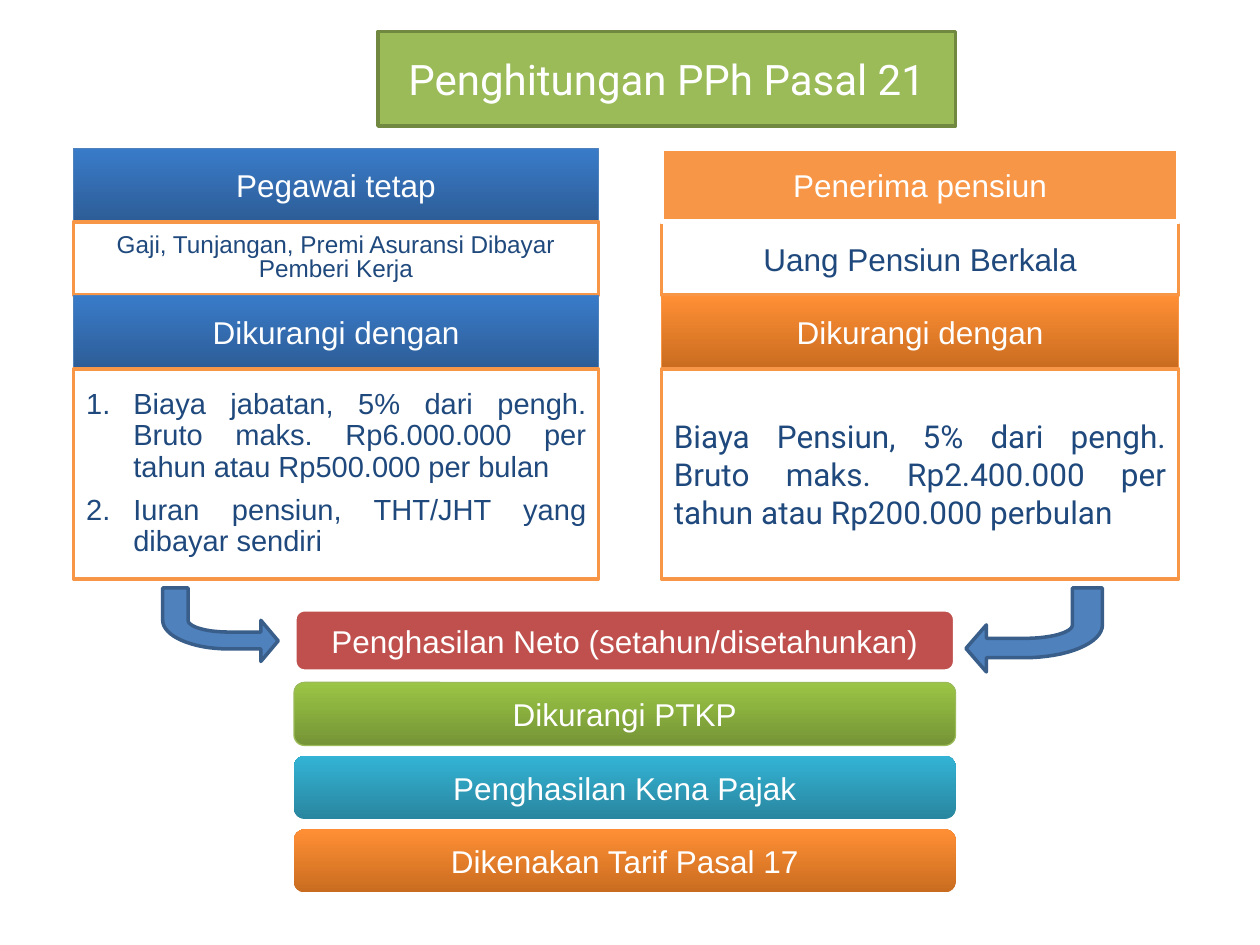
import math

import pptx
import pptx.dml.color
import pptx.enum.shapes
import pptx.enum.text
import pptx.oxml
import pptx.oxml.ns
import pptx.util

EMU_PER_PX = 9525
ALIGN = pptx.enum.text.PP_ALIGN
KIND = pptx.enum.shapes.MSO_SHAPE

COLORS = {
    "white": "FFFFFF", "navy": "1F497D", "orange": "F79646", "red": "C0504D",
    "green": "9BBB59", "green edge": "718841", "blue": "4F81BD", "blue edge": "395E8A",
    "blue dark": "2D5D97", "blue light": "397BC9",
    "orange dark": "C96C1F", "orange light": "FF8F35",
    "green dark": "759436", "green light": "9BC545",
    "aqua dark": "29869F", "aqua light": "33B3D5",
}
BLUE_FADE = ("blue dark", "blue light")
ORANGE_FADE = ("orange dark", "orange light")
GREEN_FADE = ("green dark", "green light")
AQUA_FADE = ("aqua dark", "aqua light")


def px(length):
    return pptx.util.Emu(round(length * EMU_PER_PX))


def rgb(name):
    return pptx.dml.color.RGBColor.from_string(COLORS[name])


def apply(target, values):
    for name, value in values.items():
        setattr(target, name, value)


class Deck:
    """Holds the style and the current slide."""

    font = "Arial"
    size = 18

    def __init__(self, presentation):
        self.slide = presentation.slides.add_slide(presentation.slide_layouts[1])

    def paint(self, shape, fill, line):
        """fill: a colour or a (bottom, top) pair; line: (colour, points) or None."""
        shape.shadow.inherit = False
        if isinstance(fill, tuple):
            shape.fill.gradient()
            shape.fill.gradient_angle = 90
            for position, (stop, name) in enumerate(zip(shape.fill.gradient_stops, fill)):
                stop.position = float(position)
                stop.color.rgb = rgb(name)
        else:
            shape.fill.solid()
            shape.fill.fore_color.rgb = rgb(fill)
        if line is None:
            shape.line.fill.background()
        else:
            shape.line.color.rgb = rgb(line[0])
            shape.line.width = pptx.util.Pt(line[1])

    def set_text(self, shape, texts, color="white", align=ALIGN.CENTER, font=None,
                 size=None, spacing=1.0, gap=0, numbered=False):
        frame = shape.text_frame
        apply(frame, {"word_wrap": True,
                      "auto_size": pptx.enum.text.MSO_AUTO_SIZE.NONE,
                      "vertical_anchor": pptx.enum.text.MSO_ANCHOR.MIDDLE})
        for index, text in enumerate(texts):
            paragraph = frame.add_paragraph() if index else frame.paragraphs[0]
            apply(paragraph, {"alignment": align, "line_spacing": spacing,
                              "space_before": pptx.util.Pt(gap if index else 0)})
            if numbered:
                self.number(paragraph)
            run = paragraph.add_run()
            run.text = text
            apply(run.font, {"name": font or self.font, "bold": False,
                             "size": pptx.util.Pt(size or self.size)})
            run.font.color.rgb = rgb(color)

    def number(self, paragraph, indent=36):
        properties = paragraph._p.get_or_add_pPr()
        properties.set("marL", str(px(indent)))
        properties.set("indent", str(px(-indent)))
        for tag in ('buFont typeface="+mj-lt"', 'buAutoNum type="arabicPeriod"'):
            properties.append(pptx.oxml.parse_xml(f'<a:{tag} {pptx.oxml.ns.nsdecls("a")}/>'))

    def box(self, bounds, text, fill, line, kind=KIND.RECTANGLE, **style):
        shape = self.slide.shapes.add_shape(kind, *map(px, bounds))
        self.paint(shape, fill, line)
        self.set_text(shape, [text], **style)

    def placeholder(self, index, bounds, texts, fill, line, geometry="rect", **style):
        shape = self.slide.placeholders[index]
        apply(shape, dict(zip(("left", "top", "width", "height"), map(px, bounds))))
        shape._element.spPr.append(pptx.oxml.parse_xml(
            f'<a:prstGeom {pptx.oxml.ns.nsdecls("a")} prst="{geometry}"><a:avLst/></a:prstGeom>'))
        self.paint(shape, fill, line)
        self.set_text(shape, texts, **style)
        # Bring to the front of what is drawn so far
        shape._element.getparent().append(shape._element)

    def curved_arrow(self, tail, tip, top, height):
        """Runs down from the tail side, then bends sideways to the tip."""
        bend_x, bend_y, steps = 0.57, 0.44, 16

        def bend(radius_x, radius_y):
            angles = [math.pi / 2 * step / steps for step in range(steps + 1)]
            return [(bend_x - radius_x * math.sin(angle), bend_y + radius_y * math.cos(angle))
                    for angle in angles]

        outline = [(1, 0.72), (0.85, 1), (0.85, 0.83), *bend(0.57, 0.39),
                   (0, 0), (0.22, 0), *reversed(bend(0.35, 0.16)),
                   (0.85, 0.6), (0.85, 0.44)]
        points = [(px(tail + x * (tip - tail)), px(top + y * height)) for x, y in outline]
        builder = self.slide.shapes.build_freeform(*points[0])
        builder.add_line_segments(points[1:], close=True)
        self.paint(builder.convert_to_shape(), "blue", ("blue edge", 2))


def main():
    presentation = pptx.Presentation()
    apply(presentation, {"slide_width": px(960), "slide_height": px(720)})
    deck = Deck(presentation)
    frame_line = ("orange", 2)

    # Two columns: header, income, header, deductions
    row, tall = 56, 160
    tops = [113 + row * index for index in range(4)]
    left, right = (56, 400), (504, 394)

    def cell(column, index, height=row):
        return column[0], tops[index], column[1], height

    deck.box(cell(left, 0), "Pegawai tetap", BLUE_FADE, ("blue", 0.75))
    deck.box(cell(left, 1), "Gaji, Tunjangan, Premi Asuransi Dibayar Pemberi Kerja",
             "white", frame_line, color="navy", size=13.9, spacing=0.8)
    deck.box(cell(right, 1), "Uang Pensiun Berkala", "white", frame_line, color="navy")
    deck.box(cell(left, 2), "Dikurangi dengan", BLUE_FADE, ("blue", 0.75))
    deck.placeholder(
        1, cell(left, 3, tall),
        ["Biaya jabatan, 5% dari pengh. Bruto maks. Rp6.000.000 per tahun atau Rp500.000 per bulan",
         "Iuran pensiun, THT/JHT yang dibayar sendiri"],
        "white", frame_line, color="navy", align=ALIGN.JUSTIFY, size=16.6,
        spacing=0.9, gap=6.8, numbered=True)
    deck.box(cell(right, 2), "Dikurangi dengan", ORANGE_FADE, ("orange", 0.75))
    deck.box(cell(right, 3, tall),
             "Biaya Pensiun, 5% dari pengh. Bruto maks. Rp2.400.000 per tahun atau Rp200.000 perbulan",
             "white", frame_line, color="navy", align=ALIGN.JUSTIFY, font="Roboto")
    deck.box(cell(right, 0), "Penerima pensiun", "orange", ("white", 3))

    # Arrows from both columns to net income
    deck.curved_arrow(tail=840, tip=736, top=448, height=64)
    deck.curved_arrow(tail=124, tip=212, top=448, height=56)

    # Steps from net income to the tax rate
    steps = [
        ("Penghasilan Neto (setahun/disetahunkan)", "red", ("white", 3)),
        ("Dikurangi PTKP", GREEN_FADE, ("green", 0.75)),
        ("Penghasilan Kena Pajak", AQUA_FADE, None),
        ("Dikenakan Tarif Pasal 17", ORANGE_FADE, None),
    ]
    for index, (text, fill, line) in enumerate(steps):
        deck.box((224, 464 + 56 * index, 504, 48), text, fill, line,
                 kind=KIND.ROUNDED_RECTANGLE)

    # Title
    deck.placeholder(0, (288, 24, 440, 72), ["Penghitungan PPh Pasal 21"], "green",
                     ("green edge", 2), geometry="roundRect", font="Roboto", size=24)

    presentation.save("out.pptx")


if __name__ == "__main__":
    main()
